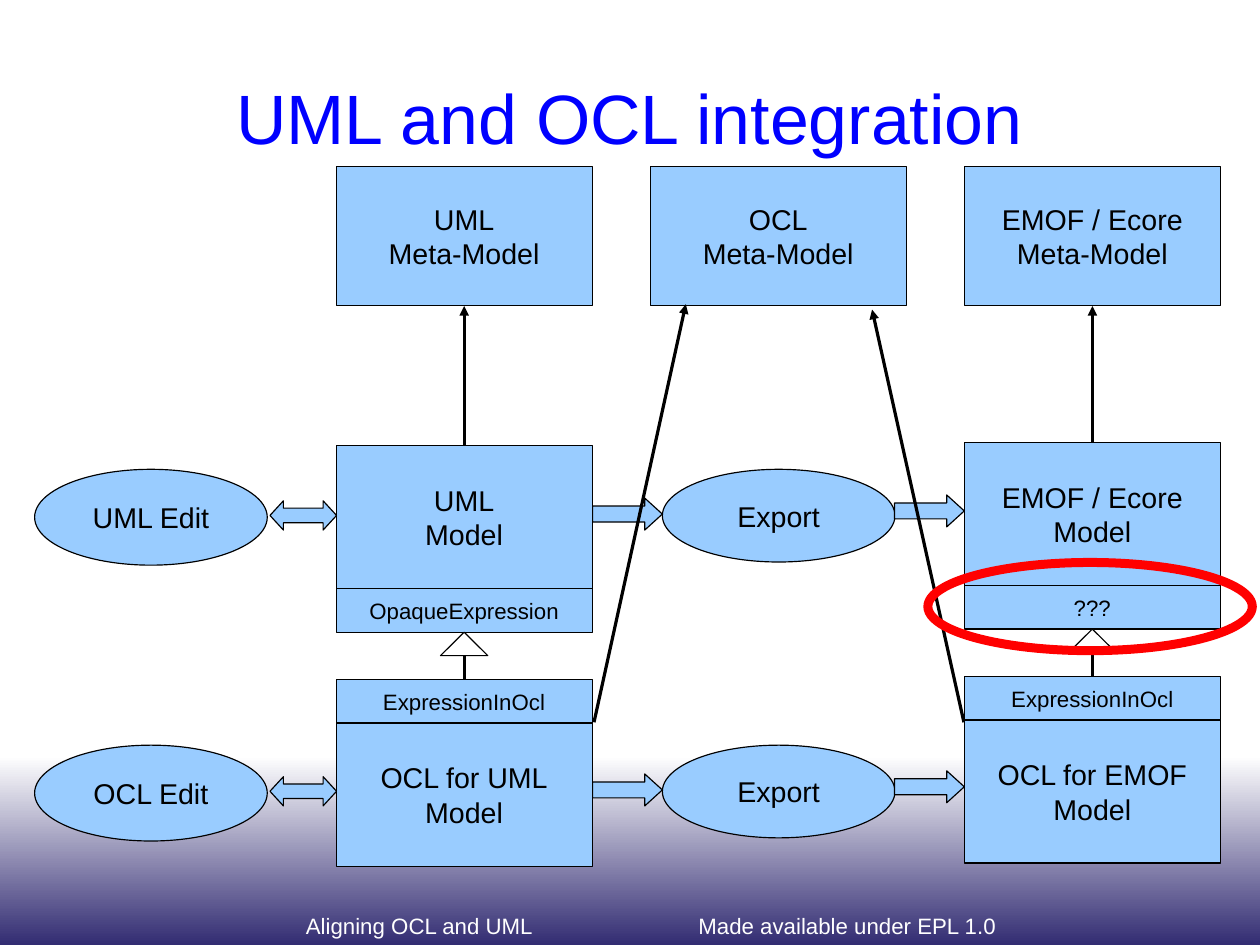
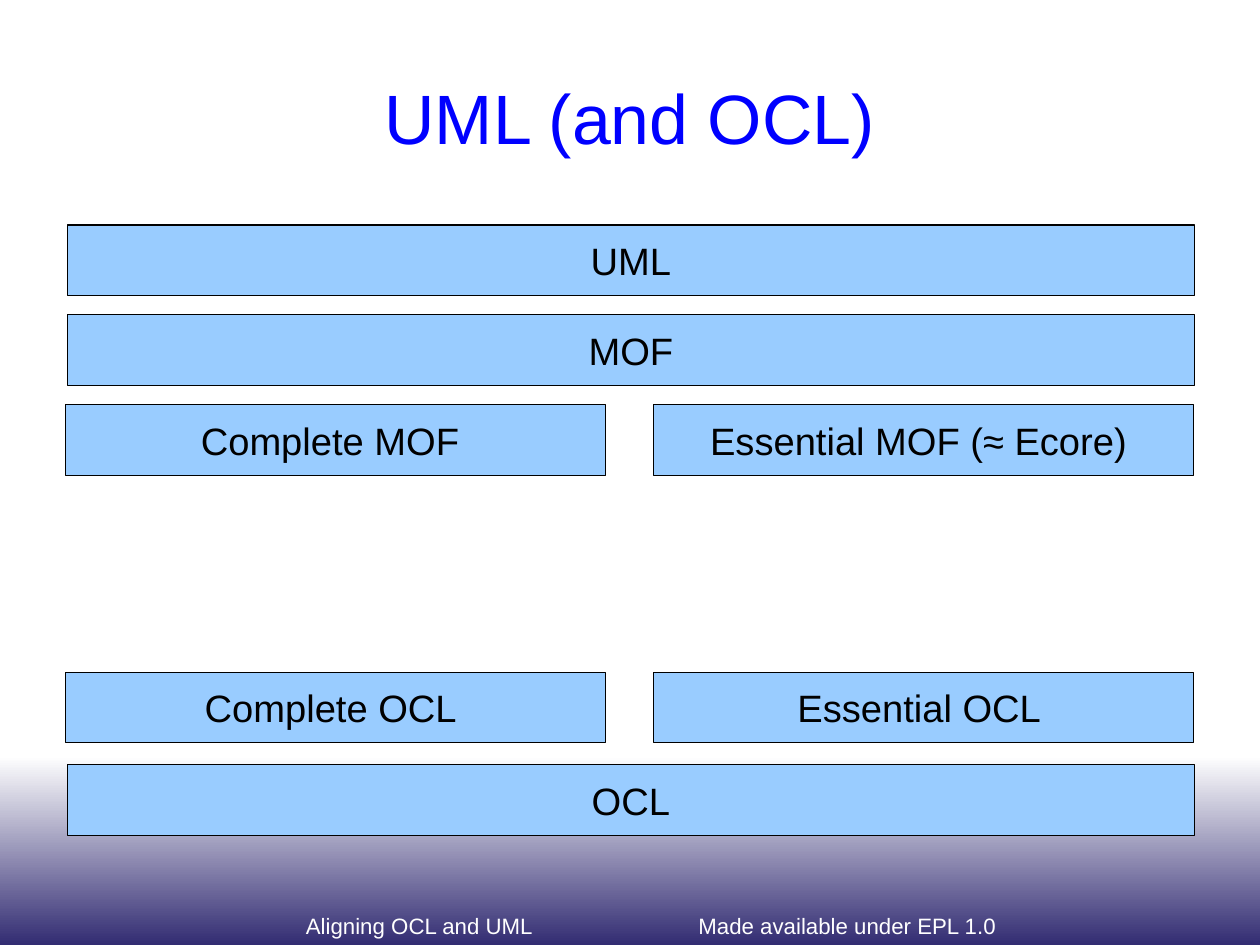
"""Build two slides on how UML and OCL are integrated."""
from dataclasses import dataclass
from typing import Any, NamedTuple

from lxml import etree
from pptx import Presentation
from pptx.dml.color import RGBColor
from pptx.enum.shapes import MSO_CONNECTOR, MSO_SHAPE
from pptx.enum.text import MSO_ANCHOR, PP_ALIGN
from pptx.oxml.ns import qn
from pptx.shapes.autoshape import Shape
from pptx.shapes.connector import Connector
from pptx.slide import Slide
from pptx.util import Cm, Pt

RECT = MSO_SHAPE.RECTANGLE
OVAL = MSO_SHAPE.OVAL
TRIANGLE = MSO_SHAPE.ISOSCELES_TRIANGLE
RIGHT_ARROW = MSO_SHAPE.RIGHT_ARROW
BOTH_ARROW = MSO_SHAPE.LEFT_RIGHT_ARROW
STRAIGHT = MSO_CONNECTOR.STRAIGHT
TOP, MIDDLE = MSO_ANCHOR.TOP, MSO_ANCHOR.MIDDLE
LEFT, CENTER = PP_ALIGN.LEFT, PP_ALIGN.CENTER
TOP_SIDE, BOTTOM_SIDE = 0, 2


@dataclass(frozen=True)
class Theme:
    """Colours, font and type sizes."""

    font: str = "Arial"
    white: RGBColor = RGBColor(0xFF, 0xFF, 0xFF)
    black: RGBColor = RGBColor(0x00, 0x00, 0x00)
    navy: RGBColor = RGBColor(0x32, 0x2C, 0x72)
    title: RGBColor = RGBColor(0x00, 0x00, 0xFF)
    box: RGBColor = RGBColor(0x99, 0xCC, 0xFF)
    mark: RGBColor = RGBColor(0xFF, 0x00, 0x00)
    title_size: float = 44
    bar_size: float = 24
    body_size: float = 18
    small_size: float = 14
    hairline: float = 0
    mark_line: float = 5.67


class Area(NamedTuple):
    """A place on the slide in centimetres."""

    left: float
    top: float
    width: float
    height: float

    def lengths(self) -> tuple[Cm, ...]:
        """Return the four values as lengths."""
        return tuple(Cm(value) for value in self)


class Label(NamedTuple):
    """A text box with its format."""

    area: Area
    size: float
    color: RGBColor
    align: PP_ALIGN
    anchor: MSO_ANCHOR
    margin_x: float = 0
    margin_y: float = 0


class Side(NamedTuple):
    """The stack of boxes for one model column."""

    left: float
    top: float
    meta: str
    model: str
    slot: str
    ocl_model: str


class Bar(NamedTuple):
    """A wide box of the layer slide."""

    text: str
    left: float
    top: float
    width: float


T = Theme()

TITLE = Label(Area(1.4, 0.84, 25.2, 3.51), T.title_size, T.title, CENTER, MIDDLE)
FOOTERS = {
    "Aligning OCL and UML": Label(
        Area(5.13, 20.27, 8.38, 0.71), T.small_size, T.white, CENTER, TOP),
    "Made available under EPL 1.0": Label(
        Area(15.27, 20.14, 7.6, 0.81), T.small_size, T.white, LEFT, TOP, 0.25, 0.13),
}

COLUMN_LEFT, COLUMN_STEP, COLUMN_WIDTH = 7.47, 6.98, 5.69
META_TOP, META_HEIGHT = 3.7, 3.1
MODEL_HEIGHT, BAND_HEIGHT, BAND_GAP = 3.18, 0.97, 1.05
ROW_STEP = 6.13
HEAD_WIDTH, HEAD_HEIGHT = 1.05, 0.52
COLUMNS = [COLUMN_LEFT + i * COLUMN_STEP for i in range(3)]
SIDES = [
    Side(COLUMNS[0], 9.9, "UML\nMeta-Model", "UML\nModel",
         "OpaqueExpression", "OCL for UML\nModel"),
    Side(COLUMNS[2], 9.83, "EMOF / Ecore\nMeta-Model", "EMOF / Ecore\nModel",
         "???", "OCL for EMOF\nModel"),
]
CONFORMS = [((21.42, 16.05), (19.38, 6.88)), ((13.2, 16.05), (15.24, 6.76))]

BAR_HEIGHT = 1.57
FULL_LEFT, FULL_WIDTH = 1.5, 25.04
HALF_LEFTS, HALF_WIDTH = (1.45, 14.53), 12
BARS = [
    Bar("UML", FULL_LEFT, 5, FULL_WIDTH),
    Bar("MOF", FULL_LEFT, 6.99, FULL_WIDTH),
    Bar("Complete MOF ", HALF_LEFTS[0], 8.99, HALF_WIDTH),
    Bar("Essential MOF (≈ Ecore) ", HALF_LEFTS[1], 8.99, HALF_WIDTH),
    Bar("Complete OCL ", HALF_LEFTS[0], 14.94, HALF_WIDTH),
    Bar("Essential OCL ", HALF_LEFTS[1], 14.94, HALF_WIDTH),
    Bar("OCL", FULL_LEFT, 16.99, FULL_WIDTH),
]


def set_values(target: Any, values: dict[str, Any]) -> None:
    """Set each named attribute of the target."""
    for name, value in values.items():
        setattr(target, name, value)


def write(sp: Shape, text: str, size: float, color: RGBColor, align: PP_ALIGN,
          frame: dict[str, Any]) -> None:
    """Write one paragraph per line of text."""
    tf = sp.text_frame
    set_values(tf, {"word_wrap": True} | frame)
    for i, line in enumerate(text.split("\n")):
        p = tf.add_paragraph() if i else tf.paragraphs[0]
        p.alignment = align
        r = p.add_run()
        r.text = line
        set_values(r.font, {"name": T.font, "size": Pt(size)})
        r.font.color.rgb = color


def add_label(s: Slide, text: str, label: Label) -> None:
    """Add a text box."""
    sp = s.shapes.add_textbox(*label.area.lengths())
    x, y = Cm(label.margin_x), Cm(label.margin_y)
    write(sp, text, label.size, label.color, label.align,
          {"vertical_anchor": label.anchor, "margin_left": x, "margin_right": x,
           "margin_top": y, "margin_bottom": y})


def add_box(s: Slide, area: Area, text: str = "", kind: MSO_SHAPE = RECT,
            size: float = T.body_size, fill: RGBColor | None = T.box,
            line: RGBColor = T.black, weight: float = T.hairline,
            adjust: tuple[float, ...] = ()) -> Shape:
    """Add a preset shape with optional centred text."""
    sp = s.shapes.add_shape(kind, *area.lengths())
    sp.shadow.inherit = False
    if fill is None:
        sp.fill.background()
    else:
        sp.fill.solid()
        sp.fill.fore_color.rgb = fill
    sp.line.color.rgb = line
    sp.line.width = Pt(weight)
    for i, value in enumerate(adjust):
        sp.adjustments[i] = value
    if text:
        write(sp, text, size, T.black, CENTER, {"vertical_anchor": MIDDLE})
    return sp


def add_line(s: Slide, start: tuple[float, float], end: tuple[float, float],
             arrow: bool = False) -> Connector:
    """Add a straight hairline, with an arrowhead at its end if asked."""
    c = s.shapes.add_connector(STRAIGHT, *(Cm(v) for v in start + end))
    c.line.color.rgb = T.black
    c.line.width = Pt(T.hairline)
    props = c._element.spPr
    if arrow:
        etree.SubElement(props.find(qn("a:ln")), qn("a:tailEnd"), type="triangle")
    etree.SubElement(props, qn("a:effectLst"))
    return c


def add_side(s: Slide, side: Side) -> None:
    """Add one column: meta-model, model, and the OCL model below it."""
    def box(text: str, top: float, height: float, size: float = T.body_size) -> Shape:
        """Add one box of the column."""
        return add_box(s, Area(side.left, top, COLUMN_WIDTH, height), text, size=size)

    slot_top = side.top + MODEL_HEIGHT
    head_top = slot_top + BAND_HEIGHT
    expr_top = head_top + BAND_GAP
    mid = side.left + COLUMN_WIDTH / 2

    meta = box(side.meta, META_TOP, META_HEIGHT)
    model = box(side.model, side.top, MODEL_HEIGHT)
    box(side.slot, slot_top, BAND_HEIGHT, T.small_size)
    expr = box("ExpressionInOcl", expr_top, BAND_HEIGHT, T.small_size)
    box(side.ocl_model, expr_top + BAND_HEIGHT, MODEL_HEIGHT)

    c = add_line(s, (mid, side.top), (mid, META_TOP + META_HEIGHT), arrow=True)
    c.begin_connect(model, TOP_SIDE)
    c.end_connect(meta, BOTTOM_SIDE)
    add_box(s, Area(mid - HEAD_WIDTH / 2, head_top, HEAD_WIDTH, HEAD_HEIGHT),
            kind=TRIANGLE, fill=T.white)
    c = add_line(s, (mid, head_top + HEAD_HEIGHT), (mid, expr_top))
    c.end_connect(expr, TOP_SIDE)


def add_flow(s: Slide, editor: str, drop: float) -> None:
    """Add the edit and export steps of one row."""
    add_box(s, Area(0.77, 10.43 + drop, 5.17, 2.13), editor, OVAL)
    add_box(s, Area(14.72, 10.43 + drop, 5.17, 2.06), "Export", OVAL)
    add_box(s, Area(6, 11.13 + drop, 1.48, 0.65), kind=BOTH_ARROW, adjust=(0.5, 0.46))
    for left, top in ((13.17, 11.07), (19.88, 11)):
        add_box(s, Area(left, top + drop, 1.55, 0.71), kind=RIGHT_ARROW,
                adjust=(0.5, 0.55))


def add_slide(prs: Presentation, title: str) -> Slide:
    """Add a blank slide with title and footers."""
    s = prs.slides.add_slide(prs.slide_layouts[6])
    add_label(s, title, TITLE)
    for text, label in FOOTERS.items():
        add_label(s, text, label)
    return s


def set_background(prs: Presentation) -> None:
    """Give the master a gradient from white down to navy."""
    fill = prs.slide_master.background.fill
    fill.gradient()
    fill.gradient_angle = 270
    for stop, position, color in zip(fill.gradient_stops, (0.8, 1), (T.white, T.navy)):
        stop.position = position
        stop.color.rgb = color


def build_integration(prs: Presentation) -> None:
    """Build the slide with the models and their meta-models."""
    s = add_slide(prs, "UML and OCL integration")
    for row, editor in enumerate(("UML Edit", "OCL Edit")):
        add_flow(s, editor, row * ROW_STEP)
    add_box(s, Area(COLUMNS[1], META_TOP, COLUMN_WIDTH, META_HEIGHT), "OCL\nMeta-Model")
    for start, end in CONFORMS:
        add_line(s, start, end, arrow=True)
    for side in SIDES:
        add_side(s, side)
    add_box(s, Area(20.62, 12.5, 7.21, 1.96), kind=OVAL, fill=None,
            line=T.mark, weight=T.mark_line)


def build_layers(prs: Presentation) -> None:
    """Build the slide with the language layers."""
    s = add_slide(prs, "UML (and OCL)")
    for bar in BARS:
        add_box(s, Area(bar.left, bar.top, bar.width, BAR_HEIGHT), bar.text,
                size=T.bar_size)


def main() -> None:
    """Build and save the presentation."""
    prs = Presentation()
    set_values(prs, {"slide_width": Cm(28), "slide_height": Cm(21)})
    set_background(prs)
    build_integration(prs)
    build_layers(prs)
    prs.save("out.pptx")


if __name__ == "__main__":
    main()
